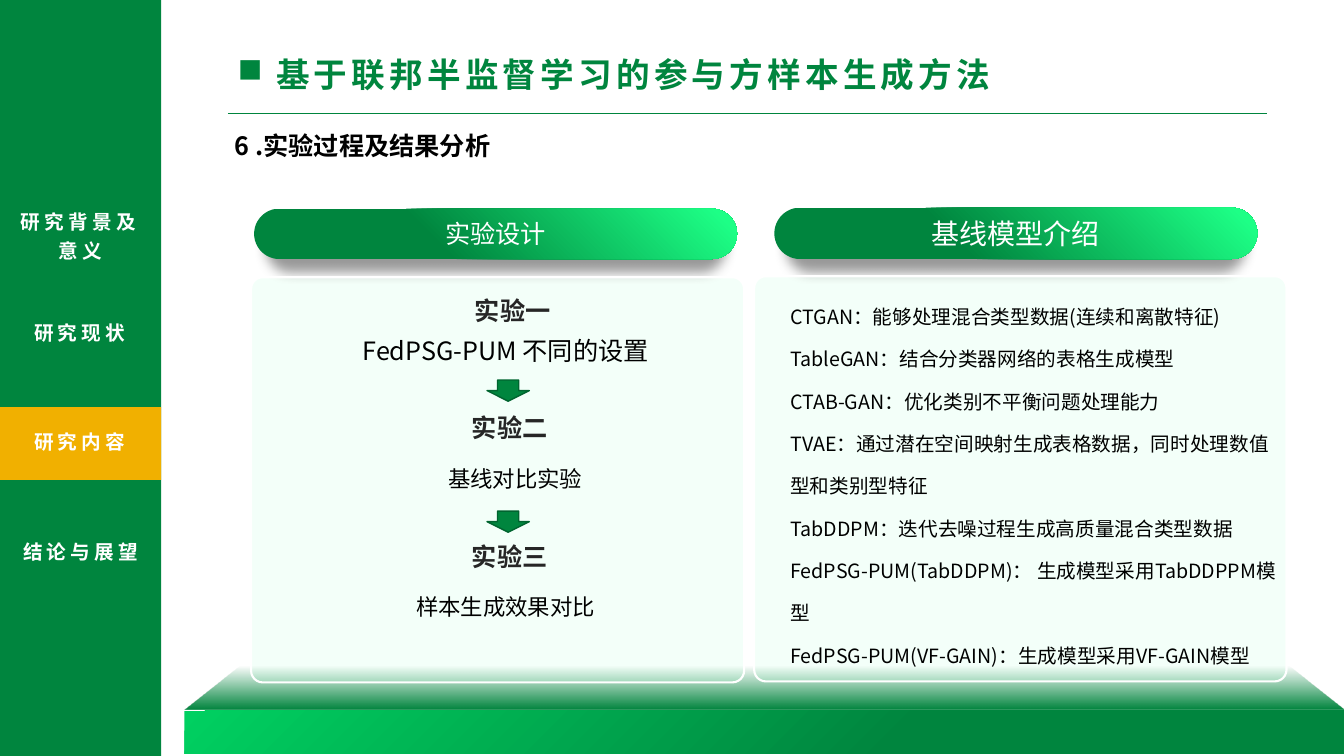
from dataclasses import dataclass

from lxml.etree import SubElement
from pptx import Presentation
from pptx.dml.color import RGBColor as RGB
from pptx.enum.shapes import MSO_CONNECTOR, MSO_SHAPE as Shape
from pptx.enum.text import MSO_ANCHOR, MSO_AUTO_SIZE as Auto, PP_ALIGN as Align
from pptx.oxml import parse_xml
from pptx.oxml.ns import nsdecls, qn
from pptx.util import Inches, Pt


@dataclass
class Theme:
    green: str = "00853E"
    dark: str = "00642F"
    bright: str = "00D061"
    lime: str = "1DFF86"
    mint: str = "B4FFD7"
    gold: str = "F1B000"
    white: str = "FFFFFF"
    black: str = "000000"
    ink: str = "262626"
    font: str = "Noto Sans CJK SC"
    pill: str = "Karla"
    title: int = 24
    large: int = 20
    head: int = 18
    body: int = 16
    small: int = 14


T = Theme()
prs = Presentation()
prs.slide_width, prs.slide_height = Inches(13.33), Inches(7.5)
slide = prs.slides.add_slide(prs.slide_layouts[6])
shapes = slide.shapes


def write(box, text, size, color, bold=False, font=T.font, align=Align.CENTER,
          lead=None, track=0):
    """Fill a shape or box with text, one paragraph a line, and style it."""
    frame = box.text_frame
    frame.word_wrap = True
    frame.text = text
    for para in frame.paragraphs:
        para.alignment = align
        if lead:
            para.line_spacing = lead
        for run in para.runs:
            run.font.size, run.font.bold, run.font.name = Pt(size), bold, font
            run.font.color.rgb = RGB.from_string(color)
            props = run.font._element
            SubElement(props, qn("a:ea")).set("typeface", T.font)
            if track:
                props.set("spc", str(track * 100))
    return frame


def draw(kind, place, fill=None, line=None, width=1, stops=(), way="", adj=None):
    """Add a shape with a plain fill, or with a gradient of (place, colour, alpha)."""
    shape = shapes.add_shape(kind, *map(Inches, place))
    shape.shadow.inherit = False
    if adj is not None:
        shape.adjustments[0] = adj
    if fill:
        shape.fill.solid()
        shape.fill.fore_color.rgb = RGB.from_string(fill)
    else:
        shape.fill.background()
        marks = "".join(
            f'<a:gs pos="{pos * 1000}"><a:srgbClr val="{color}">'
            f'<a:alpha val="{alpha * 1000}"/></a:srgbClr></a:gs>'
            for pos, color, alpha in stops)
        blank = shape._element.spPr.find(qn("a:noFill"))
        blank.getparent().replace(blank, parse_xml(
            f'<a:gradFill {nsdecls("a")} rotWithShape="1">'
            f'<a:gsLst>{marks}</a:gsLst>{way}</a:gradFill>'))
    if line:
        shape.line.color.rgb = RGB.from_string(line)
        shape.line.width = Pt(width)
    else:
        shape.line.fill.background()
    return shape


# Title and subtitle
rule = shapes.add_connector(MSO_CONNECTOR.STRAIGHT, Inches(2.26), Inches(1.12),
                            Inches(12.57), Inches(1.12))
rule.line.color.rgb = RGB.from_string(T.green)
rule.line.width = Pt(0.5)
SubElement(rule._element.spPr, qn("a:effectLst"))

title = shapes.add_textbox(Inches(2.26), Inches(0.49), Inches(8.57), Inches(0.5))
frame = write(title, "基于联邦半监督学习的参与方样本生成方法", T.title, T.green, True,
              align=Align.LEFT, track=3)
frame.auto_size = Auto.SHAPE_TO_FIT_TEXT
props = frame.paragraphs[0]._p.get_or_add_pPr()
props.set("marL", str(Inches(0.38)))
props.set("indent", str(-Inches(0.38)))
SubElement(props, qn("a:buChar")).set("char", "■")

# Side menu
draw(Shape.RECTANGLE, (0, 0, 1.6, 7.5), T.green)
draw(Shape.RECTANGLE, (0, 4.04, 1.6, 0.72), T.gold)
menu = [
    ("研究背景及意义", 0, 1.99, 1.6, 0.66, Align.CENTER),
    ("研究现状", 0.24, 3.09, 1.24, 0.38, Align.LEFT),
    ("研究内容", 0.24, 4.17, 1.24, 0.38, Align.LEFT),
    ("结论与展望", 0, 5.26, 1.6, 0.38, Align.CENTER),
]
for text, *place, align in menu:
    item = shapes.add_textbox(*map(Inches, place))
    write(item, text, T.small, T.white, True, align=align, lead=1.2, track=3)

# Stage
draw(Shape.ROUNDED_RECTANGLE, (1.83, 7.05, 11.5, 0.43), adj=0,
     stops=[(0, T.bright, 100), (62, T.green, 100)],
     way='<a:lin ang="2700000" scaled="0"/>')
draw(Shape.TRAPEZOID, (1.83, 6.44, 11.5, 0.6), adj=1.266,
     stops=[(27, T.green, 0), (100, T.green, 100)],
     way='<a:lin ang="5400000" scaled="0"/>')

# Headed panels
corner = ('<a:path path="circle"><a:fillToRect l="100000" t="0" r="0" b="100000"/>'
          '</a:path>')
panels = [
    ("实验设计", T.head, (2.52, 2.07, 4.79, 0.5), (2.49, 2.75, 4.89, 4.02)),
    ("基线模型介绍", T.large, (7.68, 2.06, 4.79, 0.51), (7.48, 2.74, 5.28, 4.02)),
]
for text, size, top, area in panels:
    pill = draw(Shape.ROUNDED_RECTANGLE, top, adj=0.5, way=corner,
                stops=[(4, T.lime, 100), (63, T.green, 100)])
    pill._element.spPr.find(qn("a:effectLst")).append(parse_xml(
        f'<a:outerShdw {nsdecls("a")} blurRad="{Pt(9)}" dist="{Pt(9)}" dir="5400000"'
        f' sx="95000" algn="ctr" rotWithShape="0"><a:srgbClr val="{T.black}">'
        '<a:alpha val="40000"/></a:srgbClr></a:outerShdw>'))
    frame = write(pill, text, size, T.white, font=T.pill)
    frame.vertical_anchor = MSO_ANCHOR.MIDDLE
    frame.margin_left = frame.margin_right = 0
    frame.margin_top = frame.margin_bottom = 0
    panel = draw(Shape.ROUNDED_RECTANGLE, area, T.mint, T.white, 1.5, adj=0.029)
    tint = panel._element.spPr.find(qn("a:solidFill"))[0]
    SubElement(tint, qn("a:alpha")).set("val", "15000")

# Subtitle and experiment steps
notes = [
    ("6 .实验过程及结果分析", 2.23, 1.24, 5.36, 0.4, T.head, T.black, True, Align.LEFT),
    ("实验一", 2.69, 2.88, 4.79, 0.38, T.head, T.ink, True, Align.CENTER),
    ("FedPSG-PUM 不同的设置", 2.56, 3.28, 4.91, 0.4, T.head, T.black, False,
     Align.CENTER),
    ("实验二", 2.66, 4.04, 4.79, 0.38, T.head, T.ink, True, Align.CENTER),
    ("基线对比实验", 2.33, 4.57, 5.56, 0.37, T.body, T.black, False, Align.CENTER),
    ("实验三", 2.66, 5.32, 4.79, 0.38, T.head, T.ink, True, Align.CENTER),
    ("样本生成效果对比", 2.57, 5.84, 4.89, 0.37, T.body, T.black, False, Align.CENTER),
]
for text, *place, size, color, bold, align in notes:
    note = shapes.add_textbox(*map(Inches, place))
    write(note, text, size, color, bold, align=align)
for top in (3.77, 5.07):
    draw(Shape.DOWN_ARROW, (4.83, top, 0.42, 0.21), T.green, T.dark)

# Baseline models
models = [
    "CTGAN：能够处理混合类型数据(连续和离散特征)",
    "TableGAN：结合分类器网络的表格生成模型",
    "CTAB-GAN：优化类别不平衡问题处理能力",
    "TVAE：通过潜在空间映射生成表格数据，同时处理数值型和类别型特征",
    "TabDDPM：迭代去噪过程生成高质量混合类型数据"
    "FedPSG-PUM(TabDDPM)： 生成模型采用TabDDPPM模型",
    "FedPSG-PUM(VF-GAIN)：生成模型采用VF-GAIN模型",
]
listing = shapes.add_textbox(Inches(7.74), Inches(2.79), Inches(5.03), Inches(3.86))
write(listing, "\n".join(models), T.small, T.black, align=Align.LEFT, lead=1.8)

prs.save("out.pptx")
